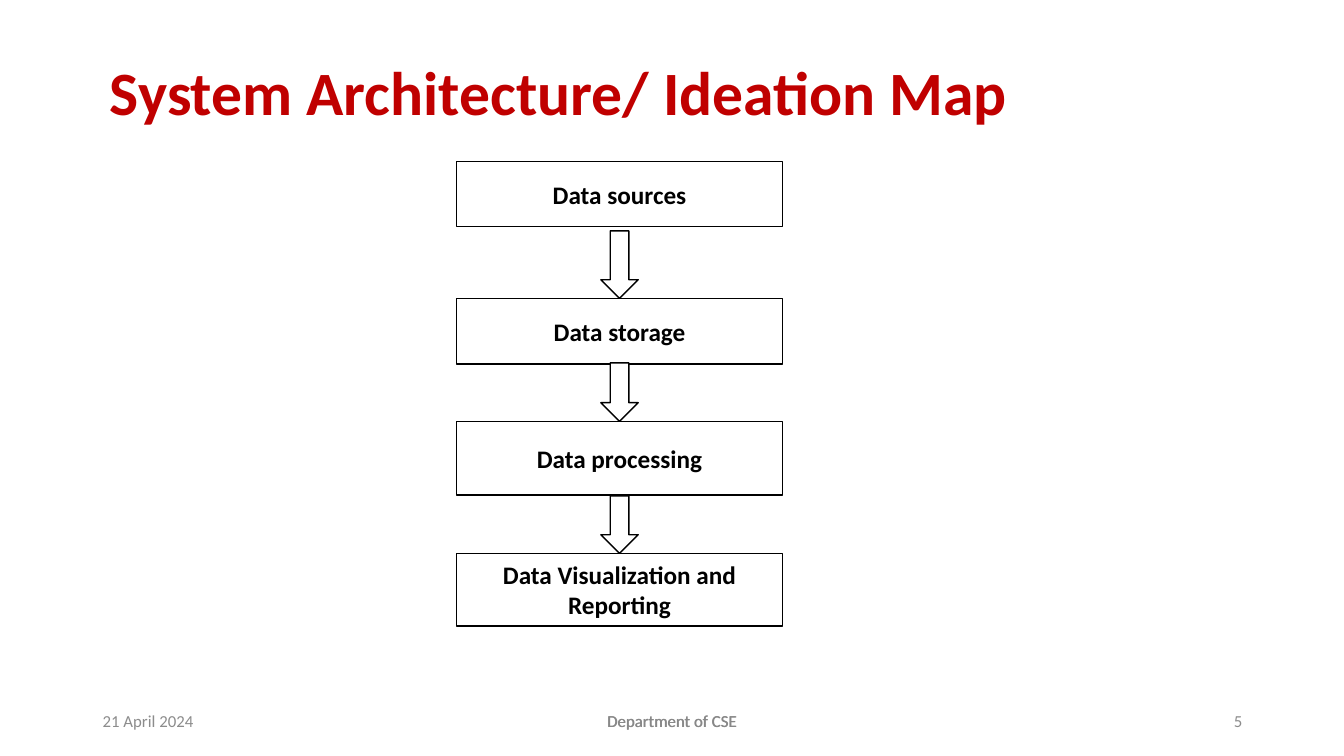
from pptx import Presentation
from pptx.dml.color import RGBColor
from pptx.enum import shapes, text
from pptx.util import Inches, Pt

RED = RGBColor(0xC0, 0x00, 0x00)
BLACK = RGBColor(0x00, 0x00, 0x00)
WHITE = RGBColor(0xFF, 0xFF, 0xFF)
GREY = RGBColor(0x8C, 0x8C, 0x8C)
FOOTER_GREY = RGBColor(0x88, 0x88, 0x88)

LEFT, CENTER, RIGHT = text.PP_ALIGN.LEFT, text.PP_ALIGN.CENTER, text.PP_ALIGN.RIGHT

TITLE = "System Architecture/ Ideation Map"
TITLE_BOX = (0.99, 0.14, 10.73, 1.62)

# wording, (left, top, width, height), alignment, colour, inset
FOOTERS = [
    ("21 April 2024", (0.92, 6.95, 3, 0.4), LEFT, GREY, 0.1),
    ("Department of CSE", (4.42, 6.95, 4.5, 0.4), CENTER, GREY, 0.1),
    ("5", (9.42, 6.95, 3, 0.4), RIGHT, GREY, 0.1),
    ("Department of CSE", (5.13, 7, 3.07, 0.3), CENTER, FOOTER_GREY, 0.05),
]

# wording, top, height
STAGES = [
    ("Data sources", 1.6, 0.65),
    ("Data storage", 2.96, 0.65),
    ("Data processing", 4.18, 0.73),
    ("Data Visualization and Reporting", 5.49, 0.72),
]
STAGE_LEFT, STAGE_WIDTH = 4.53, 3.23
ARROW_WIDTH = 0.37
ARROW_TOPS = [2.29, 3.6, 4.92]


def inches(box):
    return [Inches(length) for length in box]


def write(shape, wording, alignment, font_format):
    frame = shape.text_frame
    frame.word_wrap = True
    frame.vertical_anchor = text.MSO_ANCHOR.MIDDLE
    paragraph = frame.paragraphs[0]
    paragraph.alignment = alignment
    run = paragraph.add_run()
    run.text = wording
    run.font.name = "Calibri"
    color = font_format["color"]
    run.font.color.rgb = color
    for name in ("size", "bold"):
        setattr(run.font, name, font_format[name])
    return paragraph


def add_outlined(slide, preset, box):
    """Add a white preset shape with a thin black outline."""
    shape = slide.shapes.add_shape(preset, *inches(box))
    shape.shadow.inherit = False
    shape.fill.solid()
    shape.fill.fore_color.rgb = WHITE
    shape.line.color.rgb = BLACK
    shape.line.width = Pt(1)
    return shape


def add_title(slide):
    title = slide.shapes.title
    title.left, title.top, title.width, title.height = inches(TITLE_BOX)
    paragraph = write(title, TITLE, LEFT, {"size": Pt(44), "bold": True, "color": RED})
    paragraph.line_spacing = 0.9


def add_footers(slide):
    for wording, box, alignment, color, inset in FOOTERS:
        footer = slide.shapes.add_textbox(*inches(box))
        for side in ("left", "top", "right", "bottom"):
            margin = inset if side in ("left", "right") else 0.05
            setattr(footer.text_frame, f"margin_{side}", Inches(margin))
        write(footer, wording, alignment, {"size": Pt(12), "bold": False, "color": color})


def add_flow(slide):
    stage_font = {"size": Pt(18), "bold": True, "color": BLACK}
    for wording, top, height in STAGES:
        box = (STAGE_LEFT, top, STAGE_WIDTH, height)
        stage = add_outlined(slide, shapes.MSO_SHAPE.RECTANGLE, box)
        write(stage, wording, CENTER, stage_font)

    arrow_left = STAGE_LEFT + (STAGE_WIDTH - ARROW_WIDTH) / 2
    for arrow_top, (_, next_top, _) in zip(ARROW_TOPS, STAGES[1:]):
        box = (arrow_left, arrow_top, ARROW_WIDTH, next_top - arrow_top)
        add_outlined(slide, shapes.MSO_SHAPE.DOWN_ARROW, box)


def main():
    presentation = Presentation()
    presentation.slide_width = Inches(13.33)
    presentation.slide_height = Inches(7.5)
    slide = presentation.slides.add_slide(presentation.slide_layouts[5])
    add_title(slide)
    add_footers(slide)
    add_flow(slide)
    presentation.save("out.pptx")


if __name__ == "__main__":
    main()
